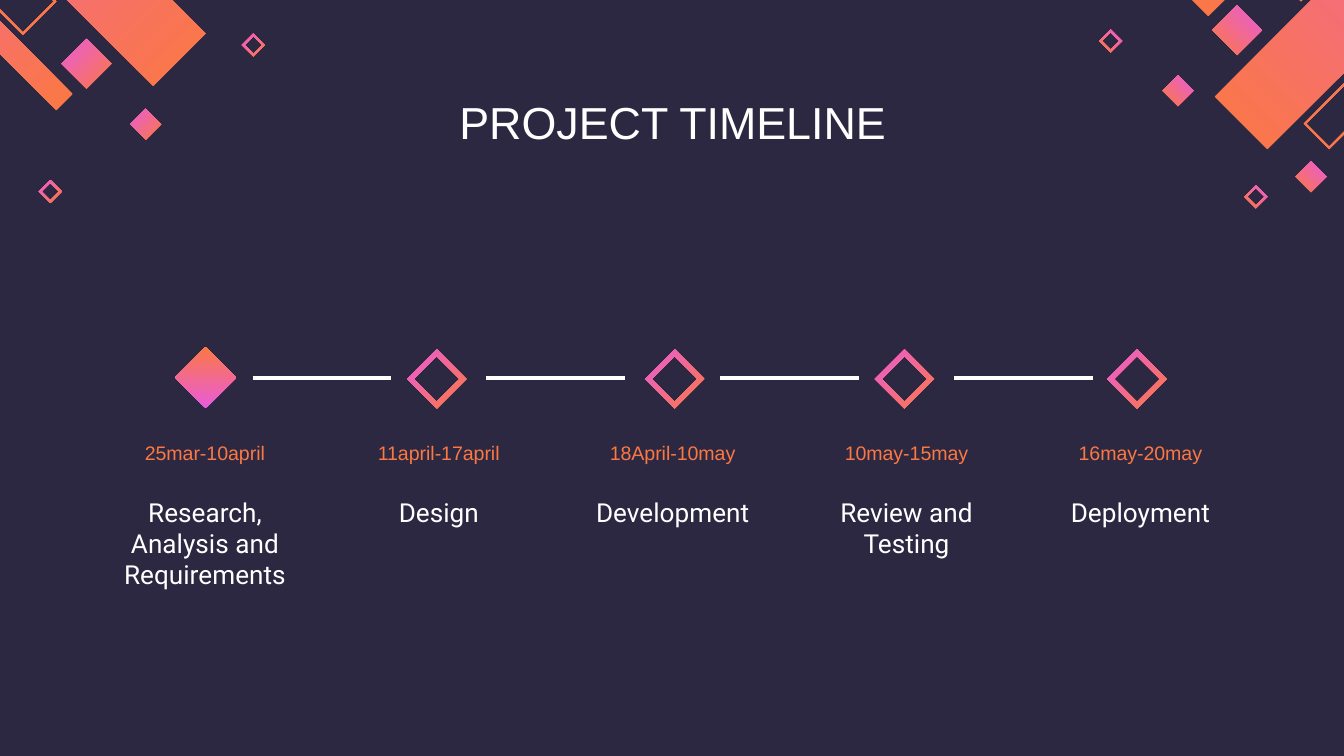
from lxml.etree import SubElement
from pptx import Presentation
from pptx.dml.color import RGBColor
from pptx.enum.shapes import MSO_CONNECTOR, MSO_SHAPE
from pptx.enum.text import MSO_ANCHOR, PP_ALIGN
from pptx.oxml.ns import qn
from pptx.util import Inches, Pt

NIGHT = RGBColor(0x2D, 0x28, 0x42)
WHITE = RGBColor(0xFF, 0xFF, 0xFF)
ORANGE = RGBColor(0xFB, 0x78, 0x43)
PINK = RGBColor(0xE8, 0x5C, 0xDB)

PAGE_WIDTH = 10
PAGE_HEIGHT = PAGE_WIDTH * 9 / 16

# Timeline grid: equal columns, fixed rows
FIRST_COLUMN, COLUMN_STEP, COLUMN_WIDTH = 0.78, 1.74, 1.49
DATE_ROW, LABEL_ROW, LINE_ROW = 3.14, 3.59, 2.81
LINE_OFFSET, LINE_LENGTH = 1.1, 1.03
RING_SIZE, RING_BORDER = 0.44, 0.05

UP_RIGHT, UP_LEFT, UP = 45, 135, 90

TITLE = {"size": Pt(24), "name": "Arial", "color": WHITE}
DATE = {"size": Pt(10.5), "name": "Arial", "color": ORANGE}
LABEL = {"size": Pt(14), "name": "Roboto", "color": WHITE}

# Date, step
STEPS = [
    ("25mar-10april", "Research, Analysis and Requirements"),
    ("11april-17april", "Design"),
    ("18April-10may", "Development"),
    ("10may-15may", "Review and Testing"),
    ("16may-20may", "Deployment"),
]
RINGS = [(3.03, 2.6), (4.8, 2.6), (6.51, 2.6), (8.24, 2.6)]

# Corner bands: left, top, size of the square around it, thickness, border (0 = solid)
RIGHT_CORNER = [
    (9.04, -1.9, 3.01, 0.39, 0),
    (9.43, -2.19, 2.2, 0.25, 0.02),
    (8.87, -2.35, 2.47, 0.12, 0),
    (9.7, -1.31, 2.42, 0.19, 0.02),
]
LEFT_CORNER = [
    (-1.48, -2.37, 3.01, 0.39, 0),
    (-1.78, -1.94, 2.2, 0.25, 0.02),
    (-1.93, -1.65, 2.47, 0.12, 0),
]

# Corner diamonds: left, top, size, border
RIGHT_DIAMONDS = [
    (9.64, 1.2, 0.23, 0),
    (9.26, 1.38, 0.17, 0.02),
    (8.18, 0.22, 0.17, 0.02),
    (9.02, 0.04, 0.37, 0),
    (8.65, 0.56, 0.23, 0),
]
LEFT_DIAMONDS = [
    (1.8, 0.25, 0.17, 0.02),
    (0.46, 0.29, 0.37, 0),
    (0.97, 0.81, 0.23, 0),
    (0.29, 1.34, 0.17, 0.02),
]


def paint(shape, start, end, angle):
    """Give a shape a two-colour gradient, with no outline or shadow."""
    shape.fill.gradient()
    shape.fill.gradient_angle = angle
    for stop, color in zip(shape.fill.gradient_stops, (start, end)):
        stop.color.rgb = color
    shape.line.fill.background()
    shape.shadow.inherit = False


def band_corners(left, top, size, thickness, angle):
    """Corners of a diagonal band that touches all sides of a square."""
    rest = size - thickness
    corners = [(0, rest), (thickness, size), (size, thickness), (rest, 0)]
    if angle == UP_LEFT:
        corners = [(size - x, y) for x, y in corners]
    return [(Inches(left + x), Inches(top + y)) for x, y in corners]


def add_band(page, left, top, size, thickness, border, angle):
    outer = band_corners(left, top, size, thickness, angle)
    builder = page.shapes.build_freeform(*outer[0])
    builder.add_line_segments(outer[1:], close=True)
    if border:
        inner = band_corners(left + border, top + border, size - 2 * border,
                             thickness - border, angle)
        builder.move_to(*inner[0])
        builder.add_line_segments(inner[1:], close=True)
    paint(builder.convert_to_shape(), ORANGE, PINK, angle)


def add_diamond(page, left, top, size, border, angle):
    add_band(page, left, top, size, size / 2, border, angle)


def add_text(page, text, left, top, width, height, style,
             anchor=MSO_ANCHOR.MIDDLE, spacing=None):
    box = page.shapes.add_textbox(*map(Inches, (left, top, width, height)))
    frame = box.text_frame
    layout = {"word_wrap": True, "vertical_anchor": anchor}
    layout.update({f"margin_{side}": Inches(0.1)
                   for side in ("left", "top", "right", "bottom")})
    for name, value in layout.items():
        setattr(frame, name, value)
    para = frame.paragraphs[0]
    para.alignment = PP_ALIGN.CENTER
    para.line_spacing = spacing
    span = para.add_run()
    span.text = text
    for name, value in style.items():
        if name == "color":
            span.font.color.rgb = value
        else:
            setattr(span.font, name, value)


def add_line(page, left, top, length):
    line = page.shapes.add_connector(
        MSO_CONNECTOR.STRAIGHT, *map(Inches, (left, top, left + length, top)))
    line.line.color.rgb = WHITE
    line.line.width = Pt(2.25)
    SubElement(line._element.spPr, qn("a:effectLst"))


def add_corners(page):
    groups = [(RIGHT_CORNER, RIGHT_DIAMONDS, UP_RIGHT),
              (LEFT_CORNER, LEFT_DIAMONDS, UP_LEFT)]
    for bands, diamonds, angle in groups:
        for band in bands:
            add_band(page, *band, angle)
        for diamond in diamonds:
            add_diamond(page, *diamond, angle)


def add_timeline(page):
    # Dates, step names and the lines between the steps
    for index, (date, label) in enumerate(STEPS):
        left = FIRST_COLUMN + index * COLUMN_STEP
        add_text(page, date, left, DATE_ROW, COLUMN_WIDTH, 0.43, DATE, spacing=1.15)
        add_text(page, label, left, LABEL_ROW, COLUMN_WIDTH, 0.66, LABEL, MSO_ANCHOR.TOP)
        if index < len(STEPS) - 1:
            add_line(page, left + LINE_OFFSET, LINE_ROW, LINE_LENGTH)

    # Solid marker for the first step, rings for the others
    marker = page.shapes.add_shape(
        MSO_SHAPE.DIAMOND, *map(Inches, (1.3, 2.58, 0.46, 0.46)))
    paint(marker, PINK, ORANGE, UP)
    for left, top in RINGS:
        add_diamond(page, left, top, RING_SIZE, RING_BORDER, UP_LEFT)


def main():
    deck = Presentation()
    deck.slide_width = Inches(PAGE_WIDTH)
    deck.slide_height = Inches(PAGE_HEIGHT)
    page = deck.slides.add_slide(deck.slide_layouts[6])
    page.background.fill.solid()
    page.background.fill.fore_color.rgb = NIGHT

    add_corners(page)
    add_text(page, "PROJECT TIMELINE", 0.66, 0.59, 8.69, 0.63, TITLE)
    add_timeline(page)
    deck.save("out.pptx")


if __name__ == "__main__":
    main()
